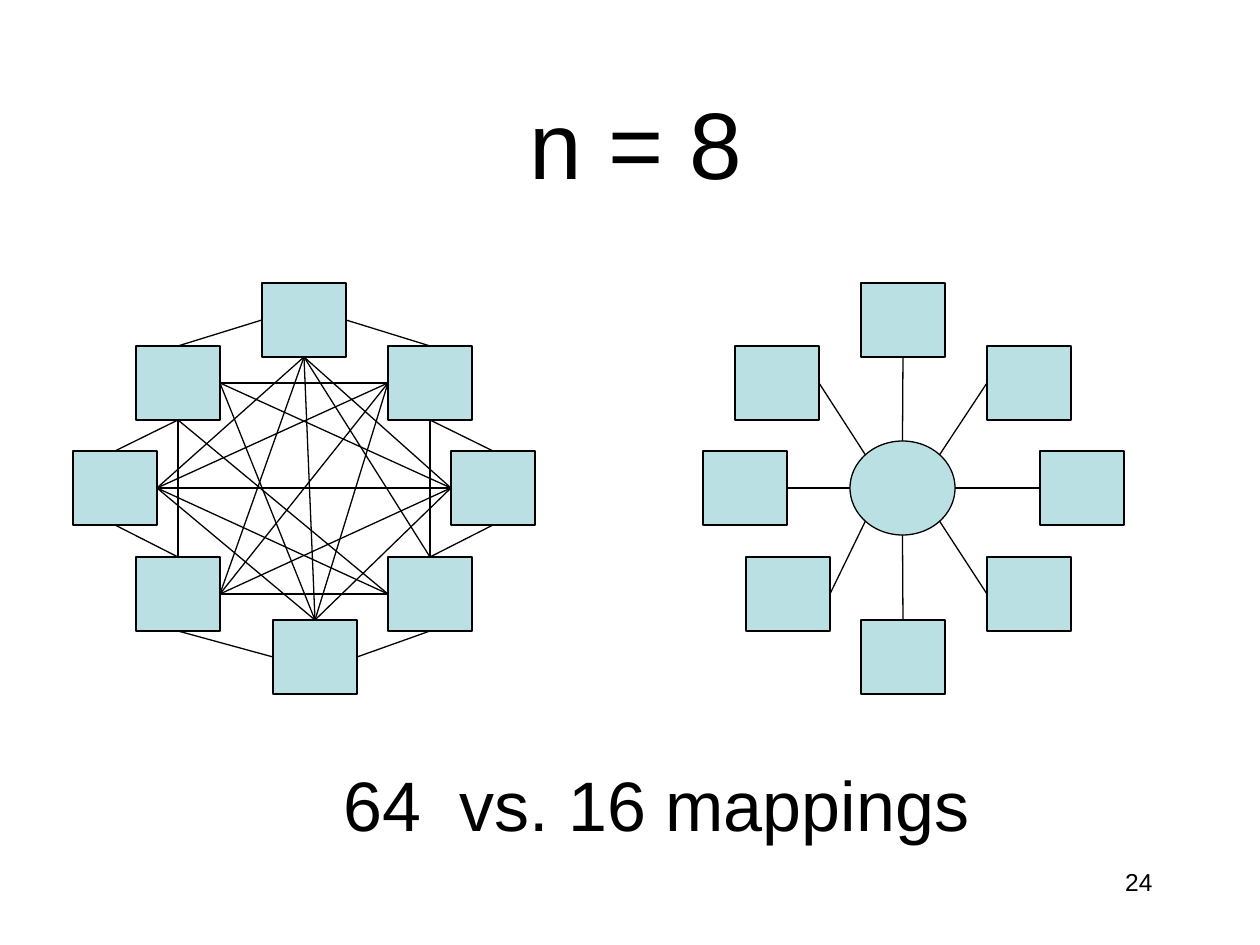
import math
from dataclasses import dataclass

from lxml import etree
from pptx import Presentation
from pptx import util as u
from pptx.dml.color import RGBColor
from pptx.enum import shapes, text
from pptx.oxml.ns import qn


@dataclass(frozen=True)
class Theme:
    font: str = "Arial"
    ink: RGBColor = RGBColor(0x00, 0x00, 0x00)
    node_fill: RGBColor = RGBColor(0xBB, 0xE0, 0xE3)
    outline: u.Pt = u.Pt(0.75)
    title_size: int = 54
    caption_size: int = 40
    number_size: int = 14


THEME = Theme()
PX_PER_INCH = 126
NODE_SIZE = (84, 74)
TOP, LEFT, BOTTOM, RIGHT = range(4)  # connection sites of a rectangle

MESH_NODES = {
    "N": (262, 283), "NE": (388, 346), "E": (451, 451), "SE": (388, 557),
    "S": (273, 620), "SW": (136, 557), "W": (73, 451), "NW": (136, 346),
}
STAR_NODES = {
    "N": (861, 283), "NE": (987, 346), "E": (1040, 451), "SE": (987, 557),
    "S": (861, 620), "SW": (746, 557), "W": (703, 451), "NW": (735, 346),
}
HUB = (850, 441, 105, 94)

MESH_LINKS = [
    # Around the ring
    ("NW", TOP, "N", LEFT), ("NE", TOP, "N", RIGHT),
    ("W", TOP, "NW", BOTTOM), ("E", TOP, "NE", BOTTOM),
    ("SW", TOP, "W", BOTTOM), ("SE", TOP, "E", BOTTOM),
    ("SW", BOTTOM, "S", LEFT), ("SE", BOTTOM, "S", RIGHT),
    # From the top and bottom nodes
    ("SW", RIGHT, "N", BOTTOM), ("W", RIGHT, "N", BOTTOM),
    ("E", LEFT, "N", BOTTOM), ("SE", TOP, "N", BOTTOM),
    ("S", TOP, "N", BOTTOM), ("S", TOP, "NE", LEFT),
    ("S", TOP, "NW", RIGHT), ("S", TOP, "W", RIGHT), ("S", TOP, "E", LEFT),
    # Between the sides
    ("NE", LEFT, "NW", RIGHT), ("E", LEFT, "W", RIGHT),
    ("SW", RIGHT, "SE", LEFT), ("W", RIGHT, "NE", LEFT),
    ("SW", RIGHT, "NE", LEFT), ("SW", RIGHT, "E", LEFT),
    ("E", LEFT, "NW", RIGHT), ("SE", LEFT, "W", RIGHT),
    ("SE", LEFT, "NW", BOTTOM),
    ("SW", TOP, "NW", BOTTOM), ("SE", TOP, "NE", BOTTOM),
]
# Clockwise from the top, with the site that faces the hub
SPOKES = {
    "N": BOTTOM, "NE": LEFT, "E": LEFT, "SE": LEFT,
    "S": TOP, "SW": RIGHT, "W": RIGHT, "NW": RIGHT,
}


def px(length):
    return u.Emu(round(length * u.Inches(1) / PX_PER_INCH))


def write(shape, words, *, size, align=text.PP_ALIGN.CENTER,
          anchor=text.MSO_ANCHOR.MIDDLE):
    frame = shape.text_frame
    frame.word_wrap = True
    frame.auto_size = text.MSO_AUTO_SIZE.NONE
    frame.vertical_anchor = anchor
    paragraph = frame.paragraphs[0]
    paragraph.alignment = align
    run = paragraph.add_run()
    run.text = words
    run.font.name = THEME.font
    run.font.size = u.Pt(size)
    run.font.color.rgb = THEME.ink


def add_label(slide, box, words, **formatting):
    write(slide.shapes.add_textbox(*map(px, box)), words, **formatting)


def add_title(slide, box, words):
    title = slide.shapes.title
    title.left, title.top, title.width, title.height = map(px, box)
    write(title, words, size=THEME.title_size)


def add_node(slide, box, kind=shapes.MSO_SHAPE.RECTANGLE):
    node = slide.shapes.add_shape(kind, *map(px, box))
    node.shadow.inherit = False
    node.fill.solid()
    node.fill.fore_color.rgb = THEME.node_fill
    node.line.color.rgb = THEME.ink
    node.line.width = THEME.outline
    return node


def add_ring(slide, positions):
    return {name: add_node(slide, (*corner, *NODE_SIZE))
            for name, corner in positions.items()}


def add_link(slide, end, end_site, start=(0, 0)):
    """Draw a line from a point to a connection site of a node."""
    x, y = map(px, start)
    link = slide.shapes.add_connector(shapes.MSO_CONNECTOR.STRAIGHT, x, y, x, y)
    link.end_connect(end, end_site)
    link.line.color.rgb = THEME.ink
    link.line.width = THEME.outline
    etree.SubElement(link._element.spPr, qn("a:effectLst"))
    return link


def add_mesh(slide):
    nodes = add_ring(slide, MESH_NODES)
    for start, start_site, end, end_site in MESH_LINKS:
        link = add_link(slide, nodes[end], end_site)
        link.begin_connect(nodes[start], start_site)


def add_star(slide):
    nodes = add_ring(slide, STAR_NODES)
    add_node(slide, HUB, shapes.MSO_SHAPE.OVAL)
    left, top, width, height = HUB
    for step, (name, site) in enumerate(SPOKES.items()):
        angle = math.radians(45 * step)
        rim = (left + width / 2 * (1 + math.sin(angle)),
               top + height / 2 * (1 - math.cos(angle)))
        add_link(slide, nodes[name], site, start=rim)


def main():
    deck = Presentation()
    deck.slide_width, deck.slide_height = px(1260), px(945)
    slide = deck.slides.add_slide(deck.slide_layouts.get_by_name("Title Only"))
    add_title(slide, (53, 63, 1166, 158), "n = 8")
    add_mesh(slide)
    add_star(slide)
    add_label(slide, (73, 725, 1166, 158), "64  vs. 16 mappings",
              size=THEME.caption_size)
    add_label(slide, (903, 861, 262, 63), "24", size=THEME.number_size,
              align=text.PP_ALIGN.RIGHT, anchor=text.MSO_ANCHOR.TOP)
    deck.save("out.pptx")


if __name__ == "__main__":
    main()
